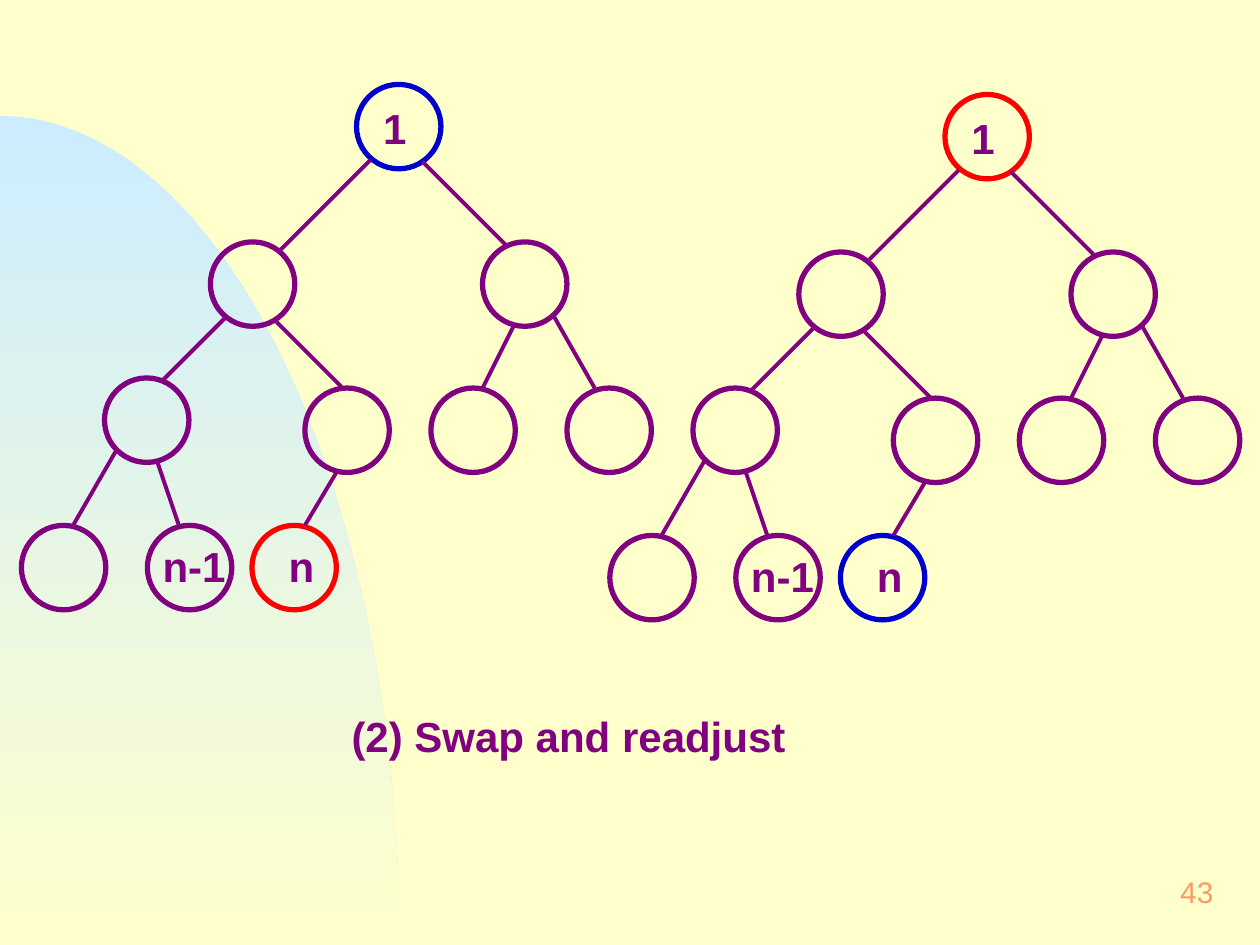
import math

from pptx import Presentation
from pptx import util as u
from pptx.dml.color import RGBColor
from pptx.enum import shapes, text
from lxml import etree

PURPLE, BLUE, RED = "800080", "0000CC", "FF0000"
CREAM, SKY, ORANGE = "FFFFCC", "CCECFF", "FF9966"
NODE_SIZE = 0.67
DRAWING_NS = "http://schemas.openxmlformats.org/drawingml/2006/main"

# Left tree; the right tree is the same, moved by RIGHT_SHIFT
ROOT, LAST = (2.83, 0.67), (2, 4.17)
INNER_NODES = [(1.67, 1.92), (3.83, 1.92), (0.83, 3), (2.42, 3.08),
               (3.42, 3.08), (4.5, 3.08), (0.17, 4.17), (1.17, 4.17)]
EDGES = [(2.94, 1.27, 2.23, 1.98), (3.35, 1.28, 4.02, 1.95),
         (1.79, 2.52, 1.29, 3.02), (2.17, 2.53, 2.71, 3.07),
         (4.08, 2.58, 3.83, 3.08), (4.39, 2.5, 4.72, 3.08),
         (0.92, 3.58, 0.58, 4.17), (1.25, 3.67, 1.42, 4.17),
         (2.67, 3.75, 2.42, 4.17)]
LABELS = [("1", 2.92, 0.75, 0.5), ("n-1", 1.17, 4.23, 0.75),
          ("n", 2.17, 4.23, 0.42)]
RIGHT_SHIFT = (4.67, 0.08)


def color(value):
    return RGBColor.from_string(value)


def add_backdrop(slide, width=3.17, top=0.92, bottom=7.5, steps=60):
    """Quarter ellipse that fades down into the background."""
    angles = [math.pi / 2 * step / steps for step in range(steps + 1)]
    points = [(u.Inches(width * math.sin(angle)),
               u.Inches(bottom - (bottom - top) * math.cos(angle)))
              for angle in angles]
    builder = slide.shapes.build_freeform(*points[0])
    builder.add_line_segments(points[1:] + [(0, u.Inches(bottom))], close=True)
    shape = builder.convert_to_shape()
    shape.shadow.inherit = False
    shape.line.fill.background()
    shape.fill.gradient()
    shape.fill.gradient_angle = 270
    for stop, position, value in zip(shape.fill.gradient_stops, (0, 1), (SKY, CREAM)):
        stop.position = position
        stop.color.rgb = color(value)


def add_node(slide, left, top, line_color=PURPLE):
    size = u.Inches(NODE_SIZE)
    shape = slide.shapes.add_shape(
        shapes.MSO_SHAPE.OVAL, u.Inches(left), u.Inches(top), size, size)
    shape.shadow.inherit = False
    shape.fill.background()
    shape.line.color.rgb = color(line_color)
    shape.line.width = u.Pt(3)


def add_edge(slide, *ends):
    connector = slide.shapes.add_connector(
        shapes.MSO_CONNECTOR.STRAIGHT, *map(u.Inches, ends))
    connector.line.color.rgb = color(PURPLE)
    connector.line.width = u.Pt(2.25)
    etree.SubElement(connector.element.spPr, f"{{{DRAWING_NS}}}effectLst")


def add_text(slide, words, left, top, width, height=0.52, size=24, bold=True,
             font_color=PURPLE, align=text.PP_ALIGN.LEFT,
             anchor=text.MSO_ANCHOR.TOP):
    box = slide.shapes.add_textbox(*map(u.Inches, (left, top, width, height)))
    frame = box.text_frame
    frame.word_wrap = True
    frame.vertical_anchor = anchor
    frame.margin_left = frame.margin_right = u.Inches(0.12)
    frame.margin_top = frame.margin_bottom = u.Inches(0.06)
    paragraph = frame.paragraphs[0]
    paragraph.alignment = align
    run = paragraph.add_run()
    run.text = words
    run.font.name = "Arial"
    run.font.size = u.Pt(size)
    run.font.bold = bold
    run.font.color.rgb = color(font_color)


def add_tree(slide, root_color, last_color, shift=(0, 0)):
    dx, dy = shift
    nodes = [(ROOT, root_color), (LAST, last_color)]
    nodes += [(place, PURPLE) for place in INNER_NODES]
    for (left, top), line_color in nodes:
        add_node(slide, left + dx, top + dy, line_color)
    for x1, y1, x2, y2 in EDGES:
        add_edge(slide, x1 + dx, y1 + dy, x2 + dx, y2 + dy)
    for words, left, top, width in LABELS:
        add_text(slide, words, left + dx, top + dy, width)


def main():
    presentation = Presentation()
    presentation.slide_width = u.Inches(10)
    presentation.slide_height = u.Inches(7.5)
    slide = presentation.slides.add_slide(presentation.slide_layouts[6])

    # Background
    slide.background.fill.solid()
    slide.background.fill.fore_color.rgb = color(CREAM)
    add_backdrop(slide)

    # Heap before and after the swap
    add_tree(slide, BLUE, RED)
    add_tree(slide, RED, BLUE, RIGHT_SHIFT)

    # Caption and page number
    add_text(slide, "(2) Swap and readjust", 2.67, 5.58, 4.67)
    add_text(slide, "43", 7.67, 6.83, 2.08, 0.5, size=17, bold=False,
             font_color=ORANGE, align=text.PP_ALIGN.RIGHT,
             anchor=text.MSO_ANCHOR.MIDDLE)

    presentation.save("out.pptx")


if __name__ == "__main__":
    main()
